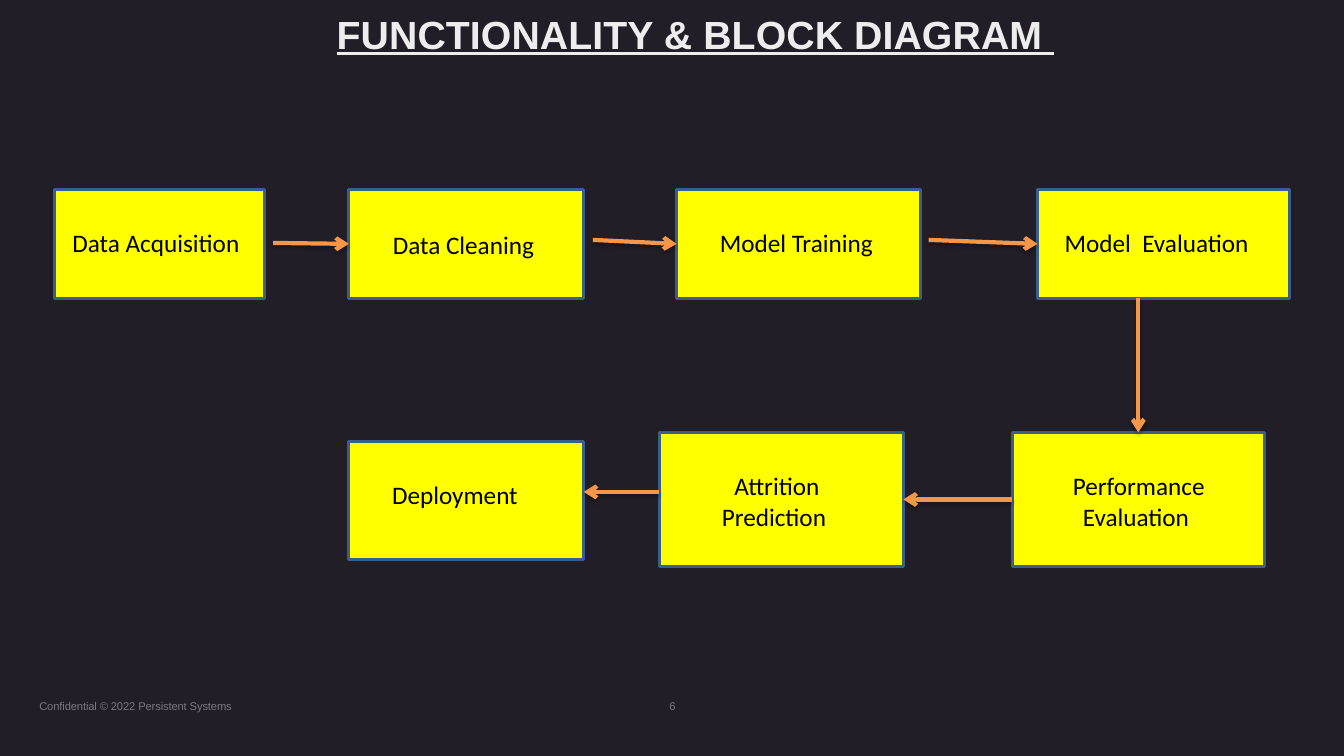
from lxml.etree import SubElement
from pptx import Presentation
from pptx.dml.color import RGBColor
from pptx.enum.shapes import MSO_CONNECTOR, MSO_SHAPE
from pptx.enum.text import MSO_ANCHOR, PP_ALIGN
from pptx.oxml import parse_xml
from pptx.oxml.ns import nsdecls, qn
from pptx.util import Inches, Pt

COLORS = {"back": "221E28", "title": "EDEDED", "footer": "79787E", "block": "FFFF00",
          "border": "3A5F8C", "label": "000000", "arrow": "F79646"}
TOP, RIGHT, LEFT = 0, 3, 1

# Block: left, top, width, height; label: text, left and top offset, width, height, centred
BLOCKS = {
    "acquisition": ((0.54, 1.88, 2.08, 1.08), ("Data Acquisition", 0.08, 0.33, 2.08, 0.4, False)),
    "cleaning": ((3.46, 1.88, 2.33, 1.08), ("Data Cleaning ", None)),
    "training": ((6.71, 1.88, 2.42, 1.08), ("Model Training", 0.33, 0.33, 1.75, 0.4, False)),
    "evaluation": ((10.29, 1.88, 2.5, 1.08), ("Model  Evaluation", 0.17, 0.33, 2.08, 0.4, False)),
    "performance": ((10.04, 4.29, 2.5, 1.33),
                    ("Performance Evaluation ", 0.42, 0.33, 1.67, 0.71, True)),
    "attrition": ((6.54, 4.29, 2.42, 1.33), ("Attrition Prediction ", 0.25, 0.33, 1.83, 0.71, True)),
    "deployment": ((3.46, 4.38, 2.33, 1.17), ("Deployment", 0.33, 0.33, 1.83, 0.4, False)),
}

# Arrow: start point, end point, joined start, joined end
ARROWS = [
    ((2.71, 2.41), (3.46, 2.42), None, ("cleaning", LEFT)),
    ((5.88, 2.38), (6.71, 2.42), None, ("training", LEFT)),
    ((9.21, 2.38), (10.29, 2.42), None, ("evaluation", LEFT)),
    ((11.29, 2.96), (11.29, 4.29), None, ("performance", TOP)),
    ((10.04, 4.96), (8.96, 4.96), ("performance", LEFT), ("attrition", RIGHT)),
    ((6.54, 4.88), (5.79, 4.88), None, None),
]


def rgb(name):
    return RGBColor.from_string(COLORS[name])


def inches(values):
    return [Inches(v) for v in values]


def format_run(r, size, font, color, spacing=0):
    r.font.size, r.font.name = Pt(size), font
    r.font.color.rgb = rgb(color)
    if spacing:
        r._r.get_or_add_rPr().set("spc", str(spacing))


def add_line_of_text(s, box, text, size, color, spacing, left=0.0, top=0.0):
    """A text box without margins, holding one line in Arial."""
    tf = s.shapes.add_textbox(*inches(box)).text_frame
    tf.word_wrap = True
    tf.margin_left, tf.margin_top = Inches(left), Inches(top)
    tf.margin_right = tf.margin_bottom = 0
    p = tf.paragraphs[0]
    p.text = text
    format_run(p.runs[0], size, "Arial", color, spacing)
    return p.runs[0]


def add_title(s, box):
    r = add_line_of_text(s, box, "FUNCTIONALITY & BLOCK DIAGRAM ", 28, "title", 10, 0.01, 0.01)
    r.font.bold = r.font.underline = True


def add_footer(s, box):
    left, top, width, height = box
    add_line_of_text(s, (left, top, 1.98, height), "Confidential © 2022 Persistent Systems",
                     8, "footer", -10, 0.01)
    add_line_of_text(s, (left + width - 0.15, top, 0.15, height), "6", 8, "footer", -10, 0.04)


def write_label(tf, text, centred):
    tf.word_wrap = True
    p = tf.paragraphs[0]
    p.text = text
    p.alignment = PP_ALIGN.CENTER if centred else PP_ALIGN.LEFT
    format_run(p.runs[0], 18, "Calibri", "label")


def add_block(s, box, label):
    sp = s.shapes.add_shape(MSO_SHAPE.RECTANGLE, *inches(box))
    sp.shadow.inherit = False
    sp.fill.solid()
    sp.fill.fore_color.rgb = rgb("block")
    sp.line.color.rgb = rgb("border")
    sp.line.width = Pt(2)
    text, dx, *rest = label
    if dx is None:
        sp.text_frame.vertical_anchor = MSO_ANCHOR.MIDDLE
        write_label(sp.text_frame, text, True)
    else:
        dy, width, height, centred = rest
        tb = s.shapes.add_textbox(*inches((box[0] + dx, box[1] + dy, width, height)))
        write_label(tb.text_frame, text, centred)
    return sp


def add_arrow(s, start, end, begin_at, end_at, blocks):
    c = s.shapes.add_connector(MSO_CONNECTOR.STRAIGHT, *inches(start + end))
    if begin_at:
        c.begin_connect(blocks[begin_at[0]], begin_at[1])
    if end_at:
        c.end_connect(blocks[end_at[0]], end_at[1])
    c.line.color.rgb = rgb("arrow")
    c.line.width = Pt(3)
    SubElement(c.line._get_or_add_ln(), qn("a:tailEnd")).set("type", "arrow")
    # Soft shadow below the line
    c._element.spPr.append(parse_xml(
        f'<a:effectLst {nsdecls("a")}><a:outerShdw blurRad="{Pt(3.1)}" dist="{Pt(1.8)}" '
        'dir="5400000" rotWithShape="0"><a:srgbClr val="000000"><a:alpha val="35000"/>'
        '</a:srgbClr></a:outerShdw></a:effectLst>'))


def add_diagram(s):
    blocks = {name: add_block(s, box, label) for name, (box, label) in BLOCKS.items()}
    for arrow in ARROWS:
        add_arrow(s, *arrow, blocks)


def main():
    prs = Presentation()
    prs.slide_width, prs.slide_height = Inches(13.33), Inches(7.5)
    s = prs.slides.add_slide(prs.slide_layouts[6])
    s.background.fill.solid()
    s.background.fill.fore_color.rgb = rgb("back")
    add_title(s, (3.33, 0.09, 9.7, 0.49))
    add_footer(s, (0.38, 6.94, 6.37, 0.15))
    add_diagram(s)
    prs.save("out.pptx")


if __name__ == "__main__":
    main()
